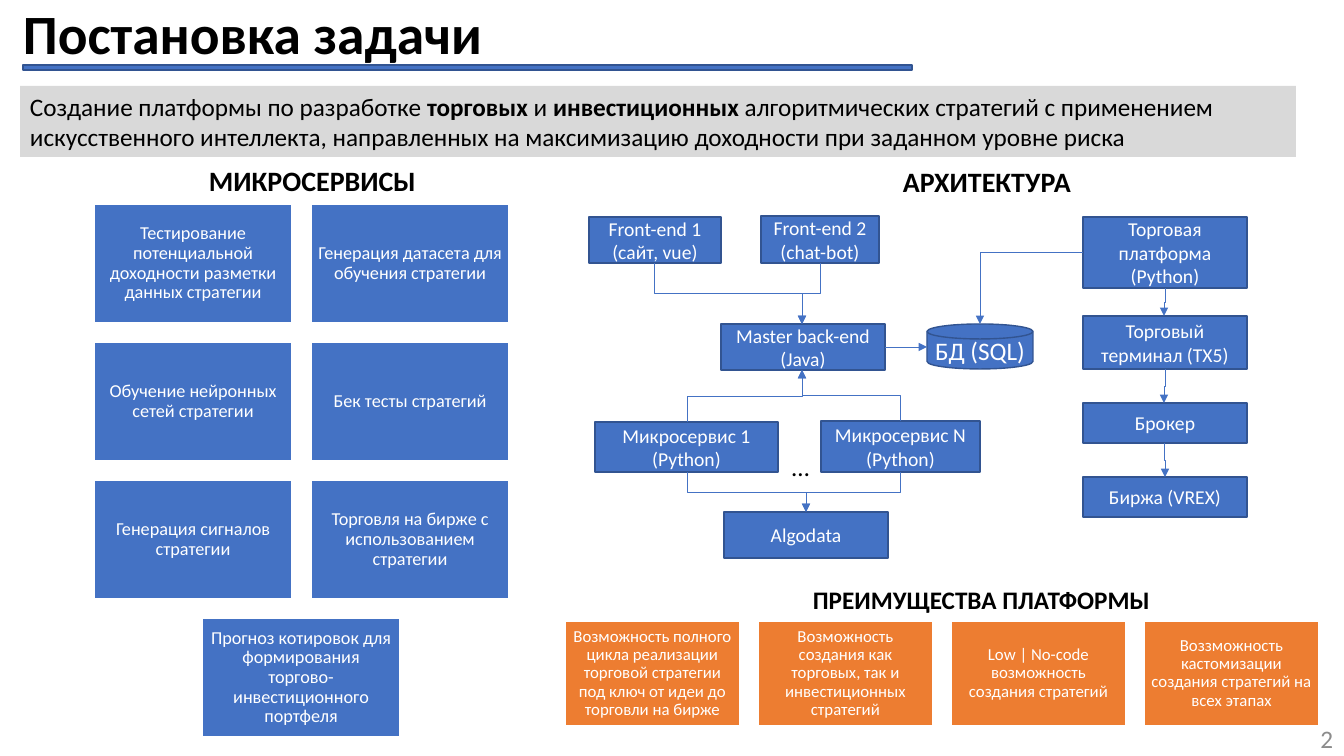
"""Builds the task statement slide: microservices, architecture and platform advantages."""
from lxml import etree
from pptx import Presentation
from pptx.dml.color import RGBColor
from pptx.enum.shapes import MSO_CONNECTOR, MSO_SHAPE
from pptx.enum.text import MSO_ANCHOR, PP_ALIGN
from pptx.oxml.ns import qn
from pptx.util import Pt

PX = 914400 / 100.8
RECT, DISK = MSO_SHAPE.RECTANGLE, MSO_SHAPE.FLOWCHART_MAGNETIC_DISK
ELBOW = MSO_CONNECTOR.ELBOW
LEFT, CENTER, RIGHT = PP_ALIGN.LEFT, PP_ALIGN.CENTER, PP_ALIGN.RIGHT
TOP, MIDDLE = MSO_ANCHOR.TOP, MSO_ANCHOR.MIDDLE
BLACK = RGBColor(0x00, 0x00, 0x00)
WHITE = RGBColor(0xFF, 0xFF, 0xFF)
BLUE = RGBColor(0x44, 0x72, 0xC4)
NAVY = RGBColor(0x32, 0x54, 0x91)
ORANGE = RGBColor(0xED, 0x7D, 0x31)
SILVER = RGBColor(0xD9, 0xD9, 0xD9)
GRAY = RGBColor(0x8C, 0x8C, 0x8C)

deck = Presentation()
deck.slide_width, deck.slide_height = round(1344 * PX), round(756 * PX)
page = deck.slides.add_slide(deck.slide_layouts[6])


def add_box(place, spans, size, color, fill=None, outline=None, kind=RECT,
            align=CENTER, anchor=MIDDLE, wrap=True, spacing=None, inset=None):
    """Add a shape, or a text box when there is no fill, with (text, bold) spans."""
    area = [round(value * PX) for value in place]
    if fill is None:
        box = page.shapes.add_textbox(*area)
    else:
        box = page.shapes.add_shape(kind, *area)
        box.shadow.inherit = False
        box.fill.solid()
        box.fill.fore_color.rgb = fill
        if outline is None:
            box.line.fill.background()
        else:
            box.line.color.rgb = outline
            box.line.width = Pt(1)
    frame = box.text_frame
    frame.word_wrap = wrap
    frame.vertical_anchor = anchor
    if inset is not None:
        frame.margin_left = frame.margin_right = round(inset * PX)
        frame.margin_top = frame.margin_bottom = round(inset * PX)
    para = frame.paragraphs[0]
    para.alignment = align
    if spacing:
        para.line_spacing = spacing
    for text, bold in spans:
        span = para.add_run()
        span.text = text
        span.font.name = "Calibri"
        span.font.size = Pt(size)
        span.font.bold = bold
        span.font.color.rgb = color


def add_arrow(x1, y1, x2, y2, route):
    """Add an elbow arrow whose route is across, down (vertical first) or corner."""
    start, end, turn = (x1, y1), (x2, y2), 0
    if route == "down":
        middle_x, middle_y = (x1 + x2) / 2, (y1 + y2) / 2
        half_length = abs(y2 - y1) / 2
        sign = 1 if y2 > y1 else -1
        half_rise = sign * (x1 - x2) / 2
        start = (middle_x - half_length, middle_y - half_rise)
        end = (middle_x + half_length, middle_y + half_rise)
        turn = 90 if sign > 0 else 270
    arrow = page.shapes.add_connector(ELBOW, *[round(value * PX) for value in start + end])
    arrow.line.color.rgb = BLUE
    arrow.line.width = Pt(0.5)
    etree.SubElement(arrow.get_or_add_ln(), qn("a:tailEnd"), type="triangle")
    properties = arrow.element.spPr
    etree.SubElement(properties, qn("a:effectLst"))
    if turn:
        properties.find(qn("a:xfrm")).set("rot", str(turn * 60000))
    if route == "corner":
        properties.find(qn("a:prstGeom")).set("prst", "bentConnector2")


add_box((13, 9, 831, 54), [("Постановка задачи", True)], 39.6, BLACK, align=LEFT, spacing=0.9)
add_box((23, 65, 889, 5), [], 18, WHITE, BLUE, NAVY)

goal = [
    ("Создание платформы по разработке ", False),
    ("торговых", True),
    (" и ", False),
    ("инвестиционных", True),
    (" алгоритмических стратегий с применением искусственного интеллекта, "
     "направленных на максимизацию доходности при заданном уровне риска", False),
]
add_box((20, 86, 1276, 71), goal, 18, BLACK, SILVER, align=LEFT, anchor=TOP)

headings = [
    ((199, 159, 229, 44), "МИКРОСЕРВИСЫ", 20, True),
    ((893, 160, 190, 44), "АРХИТЕКТУРА", 20, True),
    ((803, 579, 361, 40), "ПРЕИМУЩЕСТВА ПЛАТФОРМЫ", 18, True),
    ((782, 446, 38, 40), "…", 18, False),
]
for place, text, size, bold in headings:
    add_box(place, [(text, bold)], size, BLACK, align=LEFT, anchor=TOP, wrap=False)

services = [
    "Тестирование потенциальной доходности разметки данных стратегии",
    "Генерация датасета для обучения стратегии",
    "Обучение нейронных сетей стратегии",
    "Бек тесты стратегий",
    "Генерация сигналов стратегии",
    "Торговля на бирже с использованием стратегии",
    "Прогноз котировок для формирования торгово-инвестиционного портфеля",
]
for index, text in enumerate(services):
    row, column = divmod(index, 2)
    alone = index == len(services) - 1
    left = 94 + 217 * column + (108 if alone else 0)
    add_box((left, 204 + 138 * row, 198, 119), [(text, False)], 13, WHITE, BLUE, WHITE,
            spacing=0.9, inset=6)

advantages = [
    "Возможность полного цикла реализации торговой стратегии под ключ от идеи до торговли на бирже",
    "Возможность создания как торговых, так и инвестиционных стратегий",
    "Low | No-code возможность создания стратегий",
    "Воззможность кастомизации создания стратегий на всех этапах",
]
for index, text in enumerate(advantages):
    add_box((565 + 193 * index, 621, 175, 105), [(text, False)], 12, WHITE, ORANGE, WHITE,
            spacing=0.9, inset=5)

nodes = [
    ((589, 217, 132, 46), "Front-end 1 (сайт, vue)"),
    ((761, 216, 118, 47), "Front-end 2 (chat-bot)"),
    ((721, 324, 164, 46), "Master back-end (Java)"),
    ((595, 422, 183, 50), "Микросервис 1 (Python)"),
    ((821, 421, 159, 51), "Микросервис N (Python)"),
    ((724, 512, 164, 46), "Algodata"),
    ((1083, 217, 164, 71), "Торговая платформа (Python)"),
    ((1083, 316, 164, 53), "Торговый терминал (TX5)"),
    ((1083, 403, 164, 40), "Брокер"),
    ((1083, 477, 164, 40), "Биржа (VREX)"),
]
for place, text in nodes:
    add_box(place, [(text, False)], 14, WHITE, BLUE, NAVY)
add_box((927, 324, 106, 45), [("БД (SQL)", False)], 18, WHITE, BLUE, NAVY, kind=DISK, inset=2)

arrows = [
    (654, 263, 802, 324, "down"),
    (820, 263, 802, 324, "down"),
    (885, 347, 927, 347, "across"),
    (687, 422, 802, 370, "down"),
    (900, 421, 802, 370, "down"),
    (687, 472, 806, 512, "down"),
    (900, 472, 806, 512, "down"),
    (1083, 252, 980, 324, "corner"),
    (1165, 288, 1164, 316, "down"),
    (1165, 369, 1164, 403, "down"),
    (1164, 443, 1165, 477, "down"),
]
for arrow_points in arrows:
    add_arrow(*arrow_points)

add_box((1041, 718, 302, 40), [("2", False)], 18, GRAY, align=RIGHT)

deck.save("out.pptx")
